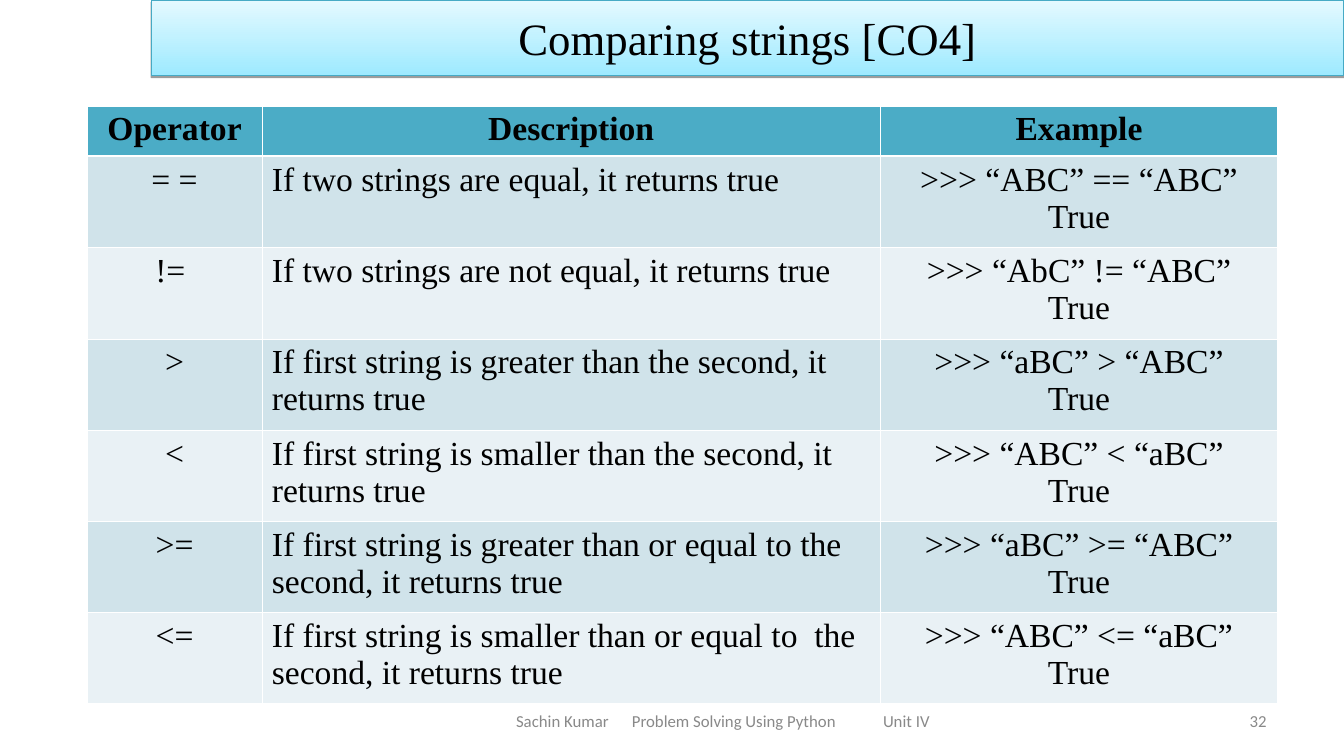
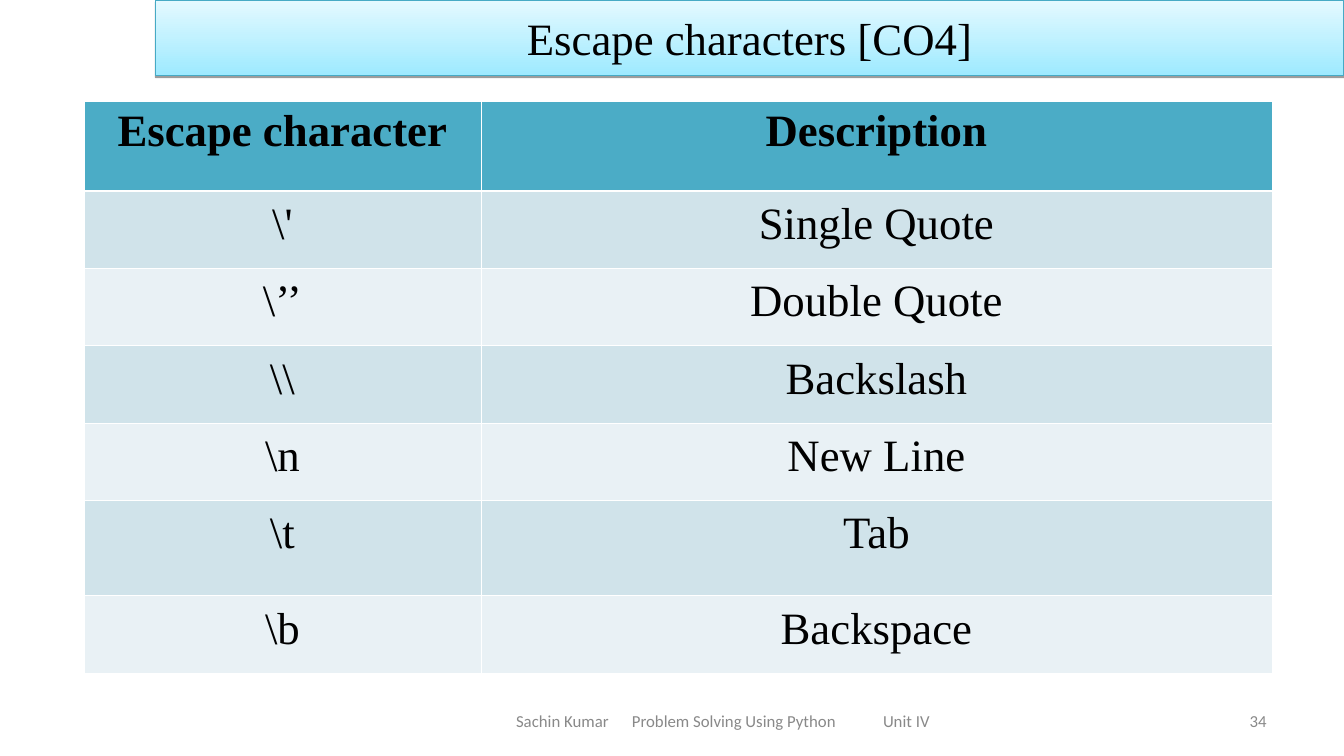
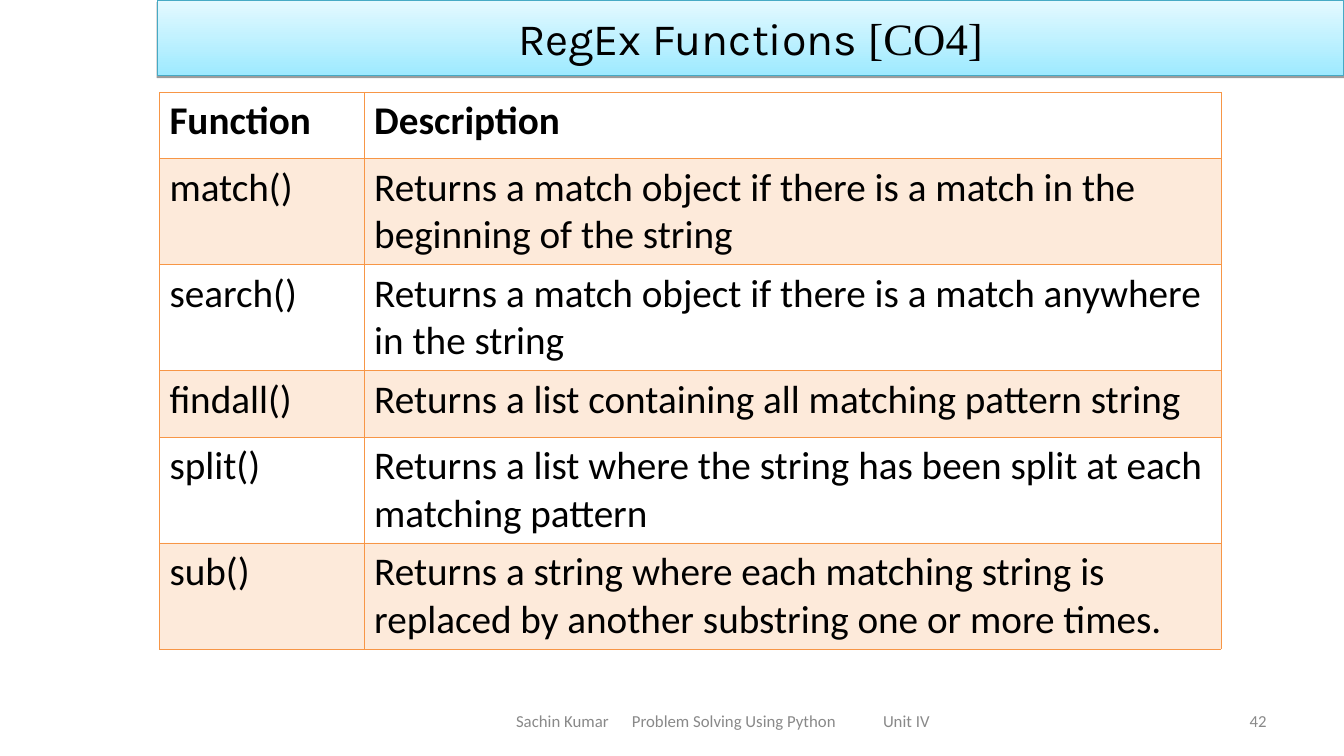
from dataclasses import dataclass

from lxml.etree import SubElement
from pptx import Presentation
from pptx.dml.color import RGBColor as Rgb
from pptx.enum.text import MSO_ANCHOR as Anchor, MSO_AUTO_SIZE as Fit, PP_ALIGN as Align
from pptx.oxml.ns import qn
from pptx.slide import Slide
from pptx.table import _Cell as Cell
from pptx.util import Cm, Pt

HUES = {
    "text": "000000", "muted": "898989", "white": "FFFFFF",
    "low": "9EEAFF", "high": "E4F9FF", "edge": "46AAC5",
    "head": "4BACC6", "odd": "D0E3EA", "even": "E9F1F5", "orange": "F79646",
}
SERIF, SANS = "Times New Roman", "Calibri"
WIDE, TALL = 33.88, 19.05
SIDES = {"c": Align.CENTER, "l": Align.LEFT, "r": Align.RIGHT}
FOOTER = "Sachin Kumar\tProblem Solving Using Python\tUnit IV"
STOPS = (2.92, 9.25)


@dataclass
class Look:
    """Fonts, fills and borders of a table; a fill is (hue, percent) or None."""
    font: str
    size: int
    head: tuple[str, int] | None
    odd: tuple[str, int] | None
    even: tuple[str, int] | None
    rule: str
    thick: float
    lead: float = 1.0


@dataclass
class Page:
    title: list[tuple[str, str]]
    left: float
    number: int
    look: Look
    spot: tuple[float, float]
    cols: list[float]
    rows: list[float]
    tops: str
    sides: str
    cells: list[tuple[str, ...]]


def teal(size: int, lead: float = 1.0) -> Look:
    return Look(SERIF, size, ("head", 100), ("odd", 100), ("even", 100), "white", 1.47, lead)


PEACH = Look(SANS, 28, None, ("orange", 20), None, "orange", 0.96)

PAGES = [
    Page(
        [("Comparing strings [CO4]", SERIF)], 3.81, 32, teal(24), (2.2, 2.67),
        [4.4, 15.6, 10], [1.27] + [2.3] * 6, "ccc", "clc",
        [
            ("Operator", "Description", "Example"),
            ("= =", "If two strings are equal, it returns true", ">>> “ABC” == “ABC”\nTrue"),
            ("!= ", "If two strings are not equal, it returns true", ">>> “AbC” != “ABC”\nTrue"),
            (">", "If first string is greater than the second, it returns true",
             ">>> “aBC” > “ABC”\nTrue"),
            ("<", "If first string is smaller than the second, it returns true",
             ">>> “ABC” < “aBC”\nTrue"),
            (">=", "If first string is greater than or equal to the second, it returns true",
             ">>> “aBC” >= “ABC”\nTrue"),
            ("<=", "If first string is smaller than or equal to  the second, it returns true",
             ">>> “ABC” <= “aBC”\nTrue"),
        ],
    ),
    Page(
        [("Escape characters [CO4]", SERIF)], 3.92, 34, teal(32, 1.07), (2.12, 2.55),
        [10, 19.95], [2.26] + [1.95] * 4 + [2.4, 1.95], "cc", "cc",
        [
            ("Escape character", "Description"),
            (r"\'", "Single Quote"),
            (r"\’’", "Double Quote"),
            ("\\\\", "Backslash"),
            (r"\n", "New Line"),
            (r"\t", "Tab"),
            (r"\b", "Backspace"),
        ],
    ),
    Page(
        [("RegEx Functions ", "Karla"), ("[CO4]", SERIF)], 3.96, 42, PEACH, (4.02, 2.33),
        [5.16, 21.6], [1.67, 2.67, 2.67, 1.67, 2.67, 2.67], "ll", "ll",
        [
            ("Function", "Description"),
            ("match()", "Returns a match object if there is a match in the beginning of the string"),
            ("search()", "Returns a match object if there is a match anywhere in the string"),
            ("findall()", "Returns a list containing all matching pattern string"),
            ("split()", "Returns a list where the string has been split at each matching pattern"),
            ("sub()", "Returns a string where each matching string is replaced by "
                      "another substring one or more times."),
        ],
    ),
]


def hue(name: str) -> Rgb:
    return Rgb.from_string(HUES[name])


def style(para, font: str, size: int, tint: str, side: str, bold: bool = False) -> None:
    para.alignment = SIDES[side]
    para.font.name, para.font.size, para.font.bold = font, Pt(size), bold
    para.font.color.rgb = hue(tint)


def shade(shape) -> None:
    """Give a shape a thin grey shadow straight below it."""
    effects = SubElement(shape._element.spPr, qn("a:effectLst"))
    drop = SubElement(effects, qn("a:outerShdw"), blurRad="0", dist=str(Pt(1.6)),
                      dir="5400000", rotWithShape="0")
    tint = SubElement(drop, qn("a:srgbClr"), val=HUES["text"])
    SubElement(tint, qn("a:alpha"), val="38000")


def add_title(slide: Slide, page: Page) -> None:
    bar = slide.shapes.title
    bar.left, bar.top = Cm(page.left), Cm(0)
    bar.width, bar.height = Cm(WIDE - page.left), Cm(1.9)
    bar.fill.gradient()
    bar.fill.gradient_angle = 90
    for stop, name in zip(bar.fill.gradient_stops, ("low", "high")):
        stop.color.rgb = hue(name)
    bar.line.color.rgb, bar.line.width = hue("edge"), Pt(0.75)
    shade(bar)
    frame = bar.text_frame
    frame.auto_size, frame.vertical_anchor = Fit.NONE, Anchor.MIDDLE
    para = frame.paragraphs[0]
    style(para, SERIF, 32, "text", "c")
    for text, font in page.title:
        run = para.add_run()
        run.text = text
        if font != SERIF:
            run.font.name = font


def add_note(slide: Slide, text: str, left: float, width: float, side: str,
             inset: float = 0.25, stops: tuple[float, ...] = ()) -> None:
    """Add a small grey text at the foot of the slide."""
    box = slide.shapes.add_textbox(Cm(left), Cm(17.65), Cm(width), Cm(1.01))
    frame = box.text_frame
    frame.word_wrap, frame.vertical_anchor = True, Anchor.MIDDLE
    frame.margin_left = Cm(inset)
    para = frame.paragraphs[0]
    para.text = text
    if stops:
        tabs = SubElement(para._p.get_or_add_pPr(), qn("a:tabLst"))
        for stop in stops:
            SubElement(tabs, qn("a:tab"), pos=str(Cm(stop)), algn="l")
    style(para, SANS, 12, "muted", side)


def paint(cell: Cell, fill: tuple[str, int] | None) -> None:
    if fill is None:
        cell.fill.background()
        return
    name, part = fill
    cell.fill.solid()
    cell.fill.fore_color.rgb = hue(name)
    if part < 100:
        tint = cell._tc.tcPr.find(".//" + qn("a:srgbClr"))
        SubElement(tint, qn("a:alpha"), val=str(part * 1000))


def rule(cell: Cell, tint: str, top: float, base: float) -> None:
    """Draw the four borders, which must come before the fill in the XML."""
    props = cell._tc.get_or_add_tcPr()
    widths = {"lnL": 0.45, "lnR": 0.45, "lnT": top, "lnB": base}
    for place, (tag, width) in enumerate(widths.items()):
        line = SubElement(props, qn("a:" + tag), w=str(Pt(width)))
        solid = SubElement(line, qn("a:solidFill"))
        SubElement(solid, qn("a:srgbClr"), val=HUES[tint])
        props.insert(place, line)


def add_grid(slide: Slide, page: Page) -> None:
    look = page.look
    left, top = page.spot
    grid = slide.shapes.add_table(
        len(page.rows), len(page.cols), Cm(left), Cm(top),
        Cm(sum(page.cols)), Cm(sum(page.rows))).table
    grid.horz_banding = False
    for col, width in zip(grid.columns, page.cols):
        col.width = Cm(width)
    for i, (row, height) in enumerate(zip(grid.rows, page.rows)):
        row.height = Cm(height)
        head = i == 0
        fill = look.head if head else look.odd if i % 2 else look.even
        sides = page.tops if head else page.sides
        for cell, text, side in zip(row.cells, page.cells[i], sides):
            cell.text = text
            for para in cell.text_frame.paragraphs:
                if not head and look.lead != 1:
                    para.line_spacing = look.lead
                style(para, look.font, look.size, "text", side, head)
            paint(cell, fill)
            rule(cell, look.rule, look.thick if i == 1 else 0.45,
                 look.thick if head else 0.45)


def main() -> None:
    deck = Presentation()
    deck.slide_width, deck.slide_height = Cm(WIDE), Cm(TALL)
    for page in PAGES:
        slide = deck.slides.add_slide(deck.slide_layouts[5])
        add_title(slide, page)
        add_grid(slide, page)
        add_note(slide, FOOTER, 11.23, 13.97, "l", 1.78, STOPS)
        add_note(slide, str(page.number), 24.28, 7.9, "r")
    deck.save("out.pptx")


if __name__ == "__main__":
    main()
